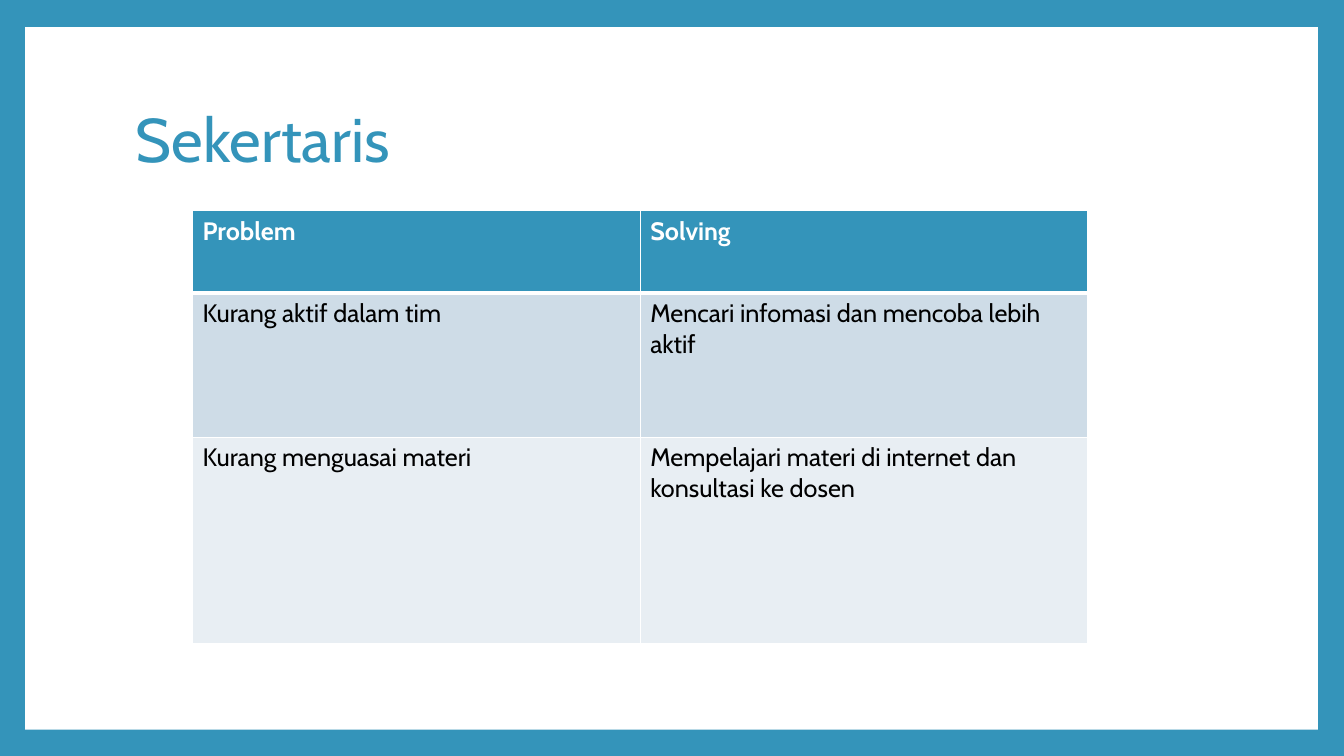
import lxml.etree
import pptx
import pptx.dml.color
import pptx.enum.shapes
import pptx.enum.text
import pptx.oxml.ns
import pptx.util

Inches = pptx.util.Inches


def paint(fill, color):
    fill.solid()
    fill.fore_color.rgb = pptx.dml.color.RGBColor.from_string(color)


def write(frame, text, color, formats):
    run = frame.paragraphs[0].add_run()
    run.text = text
    for name, value in formats.items():
        setattr(run.font, name, value)
    paint(run.font.fill, color)


BLUE = "3494BA"
WHITE = "FFFFFF"

deck = pptx.Presentation()
deck.slide_width = Inches(13.33)
deck.slide_height = Inches(7.5)
slide = deck.slides.add_slide(deck.slide_layouts[6])
paint(slide.background.fill, BLUE)

panel = slide.shapes.add_shape(
    pptx.enum.shapes.MSO_SHAPE.RECTANGLE,
    Inches(0.25), Inches(0.27), Inches(12.82), Inches(6.97))
panel.shadow.inherit = False
paint(panel.fill, WHITE)
panel.line.fill.background()

heading = slide.shapes.add_textbox(
    Inches(1.25), Inches(0.67), Inches(10.8), Inches(1.48)).text_frame
heading.word_wrap = True
heading.vertical_anchor = pptx.enum.text.MSO_ANCHOR.MIDDLE
heading.paragraphs[0].line_spacing = 0.9
write(heading, "Sekertaris", BLUE, {"name": "Cabin", "size": pptx.util.Pt(44)})

rows = [
    (0.82, BLUE, WHITE, True, ("Problem", "Solving")),
    (1.43, "CEDCE7", "000000", False,
     ("Kurang aktif dalam tim", "Mencari infomasi dan mencoba lebih aktif")),
    (2.05, "E8EEF3", "000000", False,
     ("Kurang menguasai materi",
      "Mempelajari materi di internet dan konsultasi ke dosen")),
]
problems = slide.shapes.add_table(
    len(rows), 2, Inches(1.91), Inches(2.09), Inches(8.88), Inches(4.3)).table

for r, (height, background, color, bold, texts) in enumerate(rows):
    problems.rows[r].height = Inches(height)
    widths = {"lnL": 1, "lnR": 1, "lnT": 3 if r == 1 else 1, "lnB": 3 if r == 0 else 1}
    for c, text in enumerate(texts):
        cell = problems.cell(r, c)
        paint(cell.fill, background)
        write(cell.text_frame, text, color,
              {"name": "Cabin", "size": pptx.util.Pt(18), "bold": bold})
        properties = cell._tc.get_or_add_tcPr()
        for position, (side, width) in enumerate(widths.items()):
            border = lxml.etree.Element(
                pptx.oxml.ns.qn("a:" + side), w=str(pptx.util.Pt(width)))
            border_fill = lxml.etree.SubElement(border, pptx.oxml.ns.qn("a:solidFill"))
            lxml.etree.SubElement(border_fill, pptx.oxml.ns.qn("a:srgbClr"), val=WHITE)
            properties.insert(position, border)

deck.save("out.pptx")
